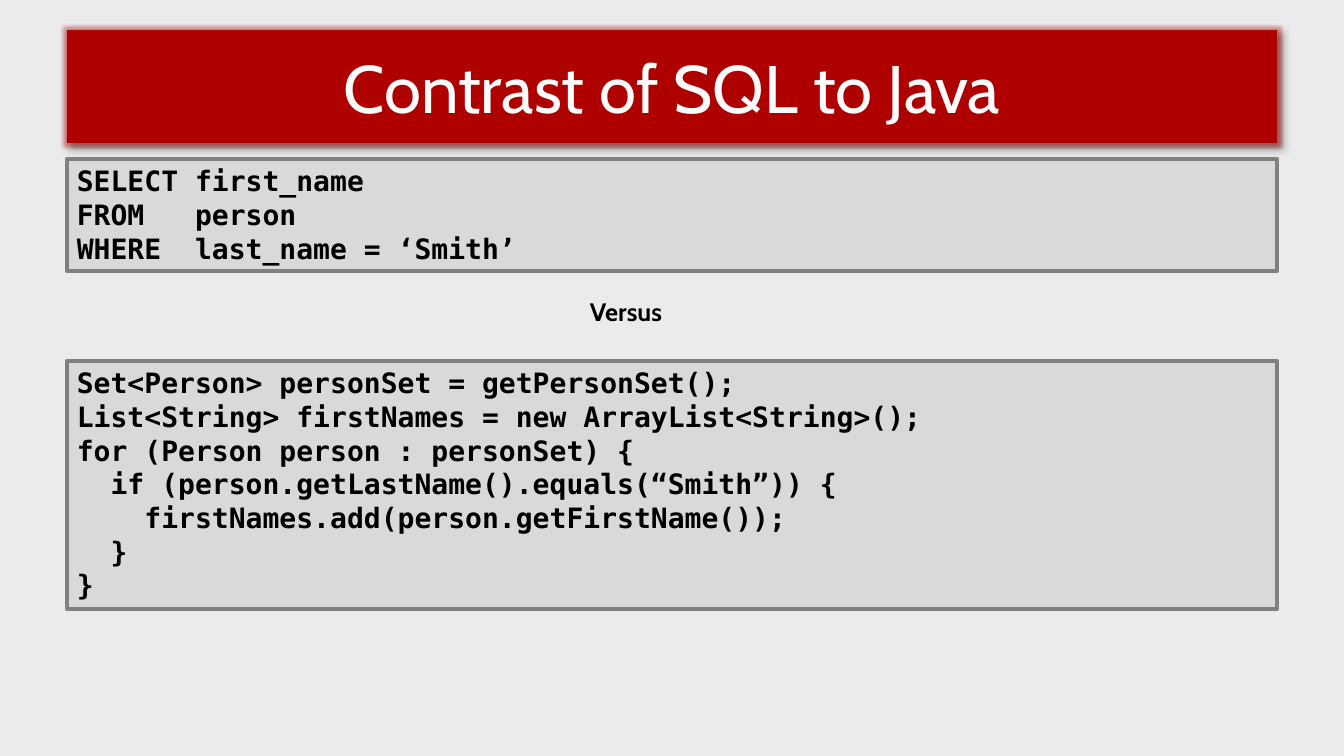
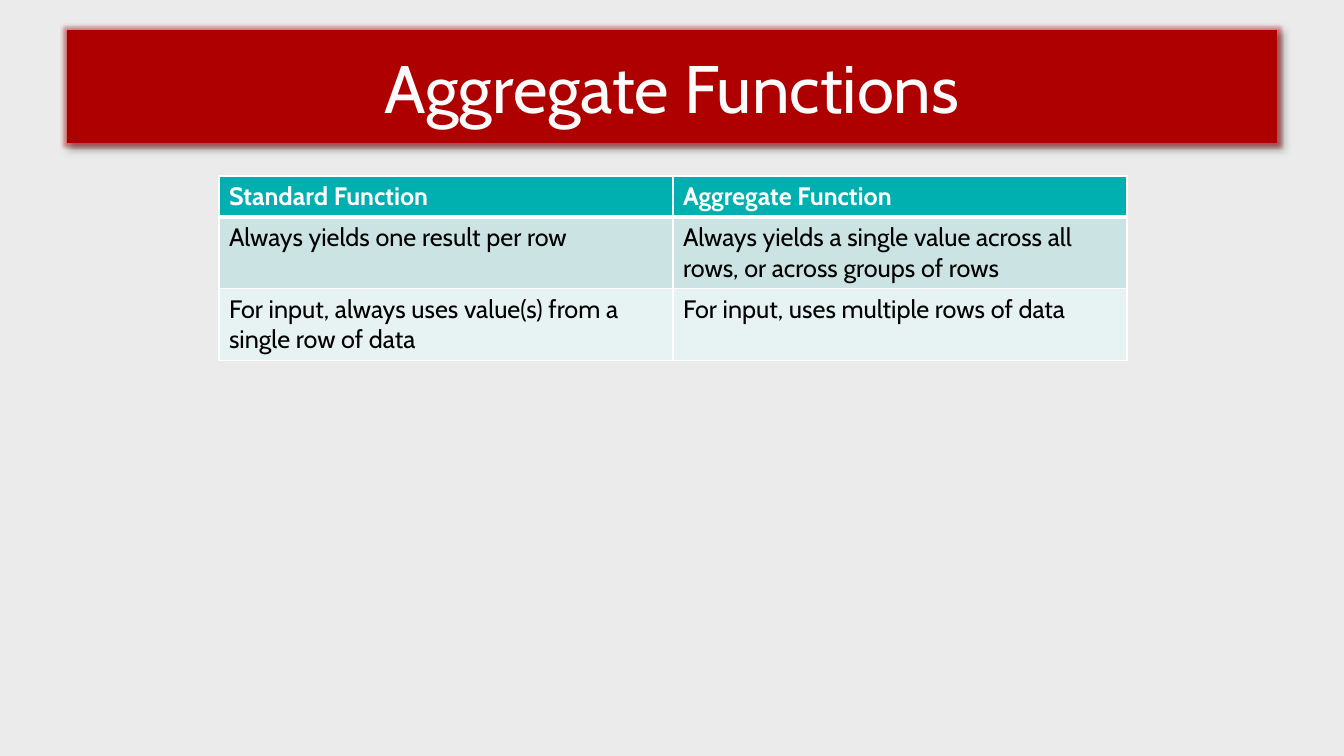
from dataclasses import dataclass

from lxml import etree
from pptx import Presentation
from pptx import util as u
from pptx.dml.color import RGBColor
from pptx.enum import shapes, text
from pptx.oxml import ns

EMU_PER_PX = 914400 / 100.8
BODY_FONT, CODE_FONT = "Cabin", "DejaVu Sans Mono"
BACKGROUND, BAND, TITLE_TEXT = "EBEBEB", "AF0000", "FEFCFC"
CODE_FILL, CODE_BORDER = "D9D9D9", "808080"
BLACK, WHITE = "000000", "FFFFFF"
HEADER_FILL, ROW_FILLS = "00AFAF", ("CCE3E3", "E7F2F2")
MARGIN, CONTENT_WIDTH = 67, 1210
TITLE_ONLY = 5


@dataclass(frozen=True)
class Box:
    """Left, top, width and height in px."""
    left: int
    top: int
    width: int
    height: int

    def emu(self) -> tuple:
        return tuple(px(n) for n in (self.left, self.top, self.width, self.height))


@dataclass(frozen=True)
class CodeBlock:
    box: Box
    lines: tuple


TITLE_BOX = Box(MARGIN, 30, CONTENT_WIDTH, 113)
VERSUS_BOX = Box(580, 291, 106, 40)
TABLE_BOX = Box(219, 176, 908, 123)

CODE_BLOCKS = (
    CodeBlock(Box(MARGIN, 159, CONTENT_WIDTH, 112), (
        "SELECT first_name",
        "FROM   person",
        "WHERE  last_name = ‘Smith’",
    )),
    CodeBlock(Box(MARGIN, 361, CONTENT_WIDTH, 248), (
        "Set<Person> personSet = getPersonSet();",
        "List<String> firstNames = new ArrayList<String>();",
        "for (Person person : personSet) {",
        "  if (person.getLastName().equals(“Smith”)) {",
        "    firstNames.add(person.getFirstName());",
        "  }",
        "}",
    )),
)

FUNCTION_ROWS = (
    ("Standard Function", "Aggregate Function"),
    ("Always yields one result per row",
     "Always yields a single value across all rows, or across groups of rows"),
    ("For input, always uses value(s) from a single row of data",
     "For input, uses multiple rows of data"),
)


def px(length: int) -> int:
    return round(length * EMU_PER_PX)


def color(value: str) -> RGBColor:
    return RGBColor.from_string(value)


def fill_solid(target, value: str) -> None:
    target.fill.solid()
    target.fill.fore_color.rgb = color(value)


def add_node(parent, tag: str, **attributes):
    node = etree.SubElement(parent, ns.qn(tag))
    for name, value in attributes.items():
        node.set(name, str(value))
    return node


def add_color(parent, value: str, alpha: int = 100) -> None:
    """Append an RGB colour with its opacity in percent."""
    node = add_node(parent, "a:srgbClr", val=value)
    if alpha < 100:
        add_node(node, "a:alpha", val=alpha * 1000)


def add_line(parent, tag: str, value: str, points: float):
    line = add_node(parent, tag, w=int(u.Pt(points)))
    add_color(add_node(line, "a:solidFill"), value)
    return line


def write(frame, lines, *, size: int, font: str = BODY_FONT, ink: str = BLACK,
          bold: bool = False, align=text.PP_ALIGN.LEFT, wrap: bool = True,
          fit=text.MSO_AUTO_SIZE.NONE, anchor=text.MSO_ANCHOR.TOP) -> list:
    """Write one paragraph per line and return the spans."""
    frame.word_wrap = wrap
    frame.auto_size = fit
    frame.vertical_anchor = anchor
    spans = []
    for index, line in enumerate(lines):
        para = frame.add_paragraph() if index else frame.paragraphs[0]
        para.alignment = align
        span = para.add_run()
        span.text = line
        span.font.name, span.font.size, span.font.bold = font, u.Pt(size), bold
        span.font.color.rgb = color(ink)
        spans.append(span)
    return spans


def add_band_effects(band) -> None:
    """Give the title band a red glow and a soft shadow."""
    effects = add_node(band.element.spPr, "a:effectLst")
    add_color(add_node(effects, "a:glow", rad=int(u.Pt(5))), BAND, 40)
    shadow = add_node(effects, "a:outerShdw", blurRad=int(u.Pt(4)),
                      dist=int(u.Pt(3)), dir=45 * 60000, algn="tl", rotWithShape=0)
    add_color(shadow, BLACK, 40)


def add_page(deck, title: str):
    page = deck.slides.add_slide(deck.slide_layouts[TITLE_ONLY])
    band = page.shapes.title
    band.left, band.top, band.width, band.height = TITLE_BOX.emu()
    fill_solid(band, BAND)
    band.line.fill.background()
    add_band_effects(band)
    span, = write(band.text_frame, [title], size=48, ink=TITLE_TEXT, wrap=False,
                  align=text.PP_ALIGN.CENTER, anchor=text.MSO_ANCHOR.MIDDLE)
    properties = span.font.fill._xPr
    properties.insert(0, add_line(properties, "a:ln", WHITE, 0.75))
    return page


def add_code(page, block: CodeBlock) -> None:
    panel = page.shapes.add_shape(shapes.MSO_SHAPE.RECTANGLE, *block.box.emu())
    panel.shadow.inherit = False
    fill_solid(panel, CODE_FILL)
    panel.line.color.rgb = color(CODE_BORDER)
    panel.line.width = u.Pt(3)
    write(panel.text_frame, block.lines, size=20, font=CODE_FONT, bold=True,
          fit=text.MSO_AUTO_SIZE.SHAPE_TO_FIT_TEXT)


def format_cell(cell, words: str, row: int) -> None:
    header = row == 0
    properties = cell._tc.get_or_add_tcPr()
    widths = {"L": 1, "R": 1, "T": 3 if row == 1 else 1, "B": 3 if header else 1}
    for side, points in widths.items():
        add_line(properties, f"a:ln{side}", WHITE, points)
    fill_solid(cell, HEADER_FILL if header else ROW_FILLS[(row - 1) % 2])
    para = cell.text_frame.paragraphs[0]
    span = para.add_run()
    span.text = words
    span.font.name, span.font.size, span.font.bold = BODY_FONT, u.Pt(18), header
    span.font.color.rgb = color(WHITE if header else BLACK)


def add_function_table(page) -> None:
    table = page.shapes.add_table(len(FUNCTION_ROWS), len(FUNCTION_ROWS[0]),
                                  *TABLE_BOX.emu()).table
    table.horz_banding = False
    for row, entries in enumerate(FUNCTION_ROWS):
        for column, words in enumerate(entries):
            format_cell(table.cell(row, column), words, row)


def main() -> None:
    deck = Presentation()
    deck.slide_width, deck.slide_height = px(1344), px(756)
    fill_solid(deck.slide_master.background, BACKGROUND)

    contrast = add_page(deck, "Contrast of SQL to Java")
    for block in CODE_BLOCKS:
        add_code(contrast, block)
    versus = contrast.shapes.add_textbox(*VERSUS_BOX.emu())
    write(versus.text_frame, ["Versus"], size=18, bold=True, wrap=False,
          fit=text.MSO_AUTO_SIZE.SHAPE_TO_FIT_TEXT)

    add_function_table(add_page(deck, "Aggregate Functions"))
    deck.save("out.pptx")


if __name__ == "__main__":
    main()
